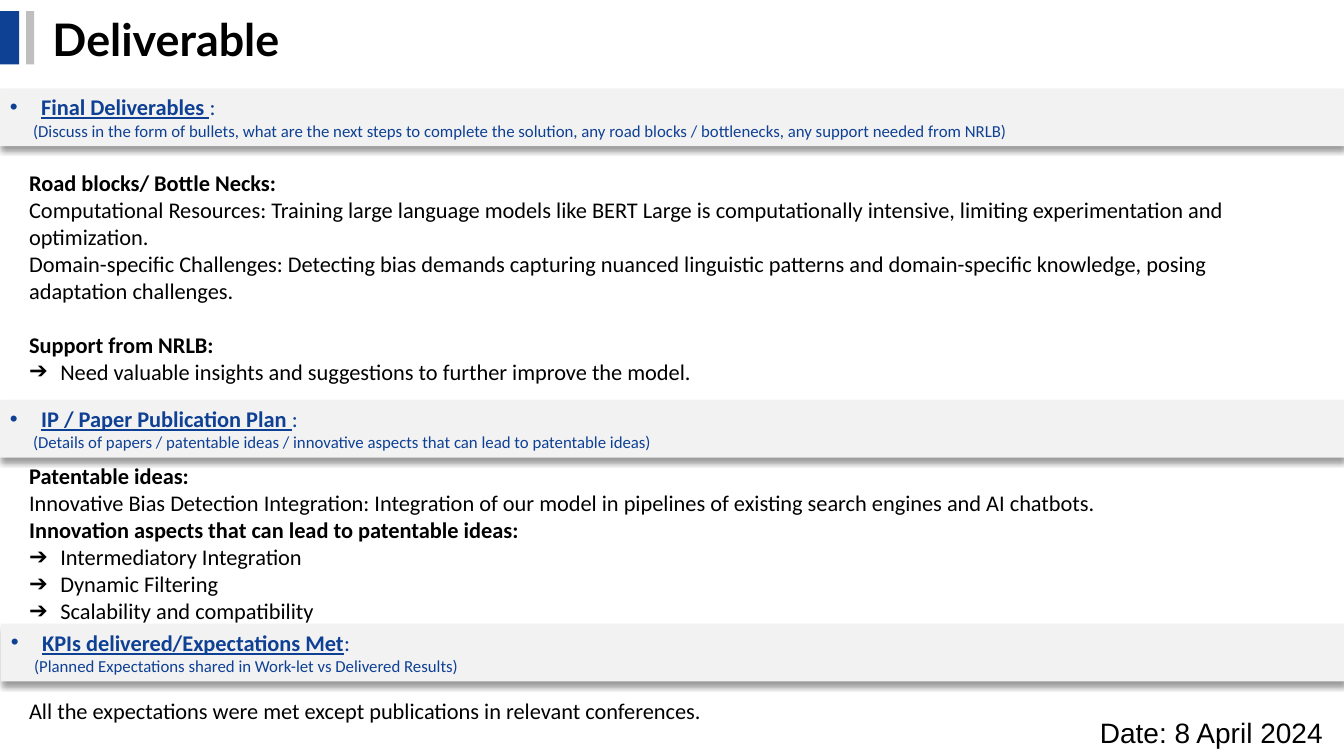
from lxml import etree
from pptx import Presentation
from pptx.dml.color import RGBColor
from pptx.enum.shapes import MSO_SHAPE
from pptx.enum.text import MSO_ANCHOR, MSO_AUTO_SIZE, PP_ALIGN
from pptx.oxml.ns import qn
from pptx.util import Inches, Pt

RECTANGLE = MSO_SHAPE.RECTANGLE
MIDDLE = MSO_ANCHOR.MIDDLE
NO_AUTOFIT = MSO_AUTO_SIZE.NONE
LEFT, JUSTIFY = PP_ALIGN.LEFT, PP_ALIGN.JUSTIFY
COLORS = {"blue": "0E4094", "grey": "BFBFBF", "band": "F2F2F2",
          "black": "000000", "shadow": "000000"}
SLIDE_WIDTH, SLIDE_HEIGHT = 13.33, 7.5
BODY_LEFT = 0.19
BULLET_INDENT = 0.31
NOTE_INDENT = 0.23
HEADING, PLAIN, ARROW = "heading", "plain", "arrow"

# Section bands: left, top, heading, closing mark, note
BANDS = [
    (0, 0.88, "Final Deliverables ", ": ",
     "(Discuss in the form of bullets, what are the next steps to complete the solution, "
     "any road blocks / bottlenecks, any support needed from NRLB)"),
    (0, 3.97, "IP / Paper Publication Plan ", ": ",
     "(Details of papers / patentable ideas / innovative aspects that can lead to "
     "patentable ideas)"),
    (0.01, 6.19, "KPIs delivered/Expectations Met", ": ",
     "(Planned Expectations shared in Work-let vs Delivered Results)"),
]

# Body texts: top, width, height, paragraphs as (kind, text, space before)
BODIES = [
    (1.63, 12.15, 2.52, [
        (HEADING, "Road blocks/ Bottle Necks:", 0),
        (PLAIN, "Computational Resources: Training large language models like BERT Large is "
                "computationally intensive, limiting experimentation and optimization.", 0),
        (PLAIN, "Domain-specific Challenges: Detecting bias demands capturing nuanced "
                "linguistic patterns and domain-specific knowledge, posing adaptation "
                "challenges.", 0),
        (HEADING, "Support from NRLB:", 19.5),
        (ARROW, "Need valuable insights and suggestions to further improve the model.", 0),
    ]),
    (4.54, 12.79, 1.72, [
        (HEADING, "Patentable ideas:", 0),
        (PLAIN, "Innovative Bias Detection Integration: Integration of our model in pipelines "
                "of existing search engines and AI chatbots.", 0),
        (HEADING, "Innovation aspects that can lead to patentable ideas:", 0),
        (ARROW, "Intermediatory Integration", 0),
        (ARROW, "Dynamic Filtering", 0),
        (ARROW, "Scalability and compatibility", 0),
    ]),
    (6.87, 7.01, 0.4, [
        (PLAIN, "All the expectations were met except publications in relevant conferences.", 0),
    ]),
]


def color(name):
    return RGBColor.from_string(COLORS[name])


def style(paragraph, size, color_name, font_name="Calibri", bold=False):
    font = paragraph.font
    font.name, font.size, font.bold = font_name, Pt(size), bold
    font.color.rgb = color(color_name)


def indent(paragraph, left, bullet=None):
    """Indent a paragraph, hanging it after a bullet if one is given."""
    properties = paragraph._p.get_or_add_pPr()
    properties.set("marL", str(Inches(left)))
    properties.set("indent", str(-Inches(left) if bullet else 0))
    if bullet:
        etree.SubElement(properties, qn("a:buFont"), typeface="Arial")
        etree.SubElement(properties, qn("a:buChar"), char=bullet)


def add_bar(slide, left, top, width, height, fill):
    bar = slide.shapes.add_shape(
        RECTANGLE, Inches(left), Inches(top), Inches(width), Inches(height))
    bar.shadow.inherit = False
    bar.fill.solid()
    bar.fill.fore_color.rgb = color(fill)
    bar.line.fill.background()
    return bar


def add_text_box(slide, left, top, width, height):
    box = slide.shapes.add_textbox(Inches(left), Inches(top), Inches(width), Inches(height))
    box.text_frame.word_wrap = True
    return box.text_frame


def next_paragraph(frame, index):
    return frame.add_paragraph() if index else frame.paragraphs[0]


def add_drop_shadow(shape):
    effects = shape._element.spPr.find(qn("a:effectLst"))
    shadow = etree.SubElement(effects, qn("a:outerShdw"), blurRad=str(Pt(4)),
                              dist=str(Pt(3)), dir="5400000", algn="t", rotWithShape="0")
    shade = etree.SubElement(shadow, qn("a:srgbClr"), val=COLORS["shadow"])
    etree.SubElement(shade, qn("a:alpha"), val="40000")


def add_header(slide, top, height):
    """Title with its two accent bars."""
    add_bar(slide, 0, top, 0.19, height, "blue")
    add_bar(slide, 0.26, top, 0.08, height, "grey")
    title = slide.shapes.title
    title.left, title.top = Inches(0.42), Inches(top - 0.05)
    title.width, title.height = Inches(10.28), Inches(height + 0.11)
    frame = title.text_frame
    frame.text = "Deliverable"
    frame.auto_size, frame.vertical_anchor = NO_AUTOFIT, MIDDLE
    paragraph = frame.paragraphs[0]
    paragraph.alignment = LEFT
    style(paragraph, 32, "black", "Lato", bold=True)


def add_band(slide, left, top, heading, mark, note):
    """Shaded section band with an underlined heading and a note."""
    band = add_bar(slide, left, top, SLIDE_WIDTH, 0.57, "band")
    add_drop_shadow(band)
    frame = band.text_frame
    frame.vertical_anchor = MSO_ANCHOR.TOP
    first, second = frame.paragraphs[0], frame.add_paragraph()
    indent(first, BULLET_INDENT, "•")
    indent(second, NOTE_INDENT)
    for paragraph, size in ((first, 16), (second, 12)):
        paragraph.alignment = JUSTIFY
        style(paragraph, size, "blue")
    run = first.add_run()
    run.text = heading
    run.font.bold = run.font.underline = True
    first.add_run().text = mark
    second.add_run().text = note


def add_body(slide, top, width, height, paragraphs):
    """Section text with headings, plain lines and arrow bullets."""
    frame = add_text_box(slide, BODY_LEFT, top, width, height)
    for index, (kind, text, space_before) in enumerate(paragraphs):
        paragraph = next_paragraph(frame, index)
        if kind == ARROW:
            indent(paragraph, BULLET_INDENT, "➔")
        paragraph.text = text
        paragraph.space_before = Pt(space_before)
        style(paragraph, 16, "black", bold=kind == HEADING)


def add_date(slide, left, top, width, height):
    frame = add_text_box(slide, left, top, width, height)
    frame.vertical_anchor = MIDDLE
    paragraph = frame.paragraphs[0]
    paragraph.text = "Date: 8 April 2024"
    style(paragraph, 20, "black", "Arial")


def main():
    presentation = Presentation()
    presentation.slide_width = Inches(SLIDE_WIDTH)
    presentation.slide_height = Inches(SLIDE_HEIGHT)
    slide = presentation.slides.add_slide(presentation.slide_layouts[5])
    add_header(slide, 0.11, 0.53)
    for band in BANDS:
        add_band(slide, *band)
    for body in BODIES:
        add_body(slide, *body)
    add_date(slide, 10.81, 7.04, 2.52, 0.44)
    presentation.save("out.pptx")


if __name__ == "__main__":
    main()
